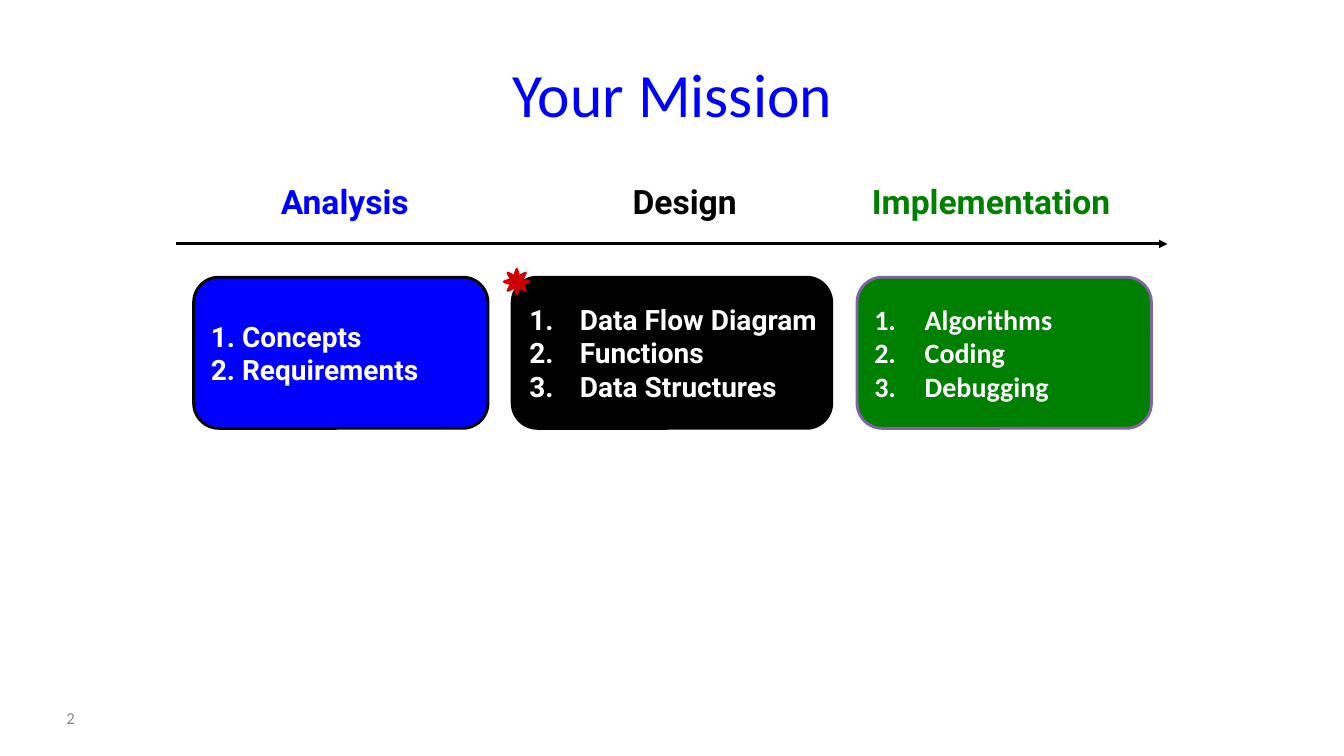
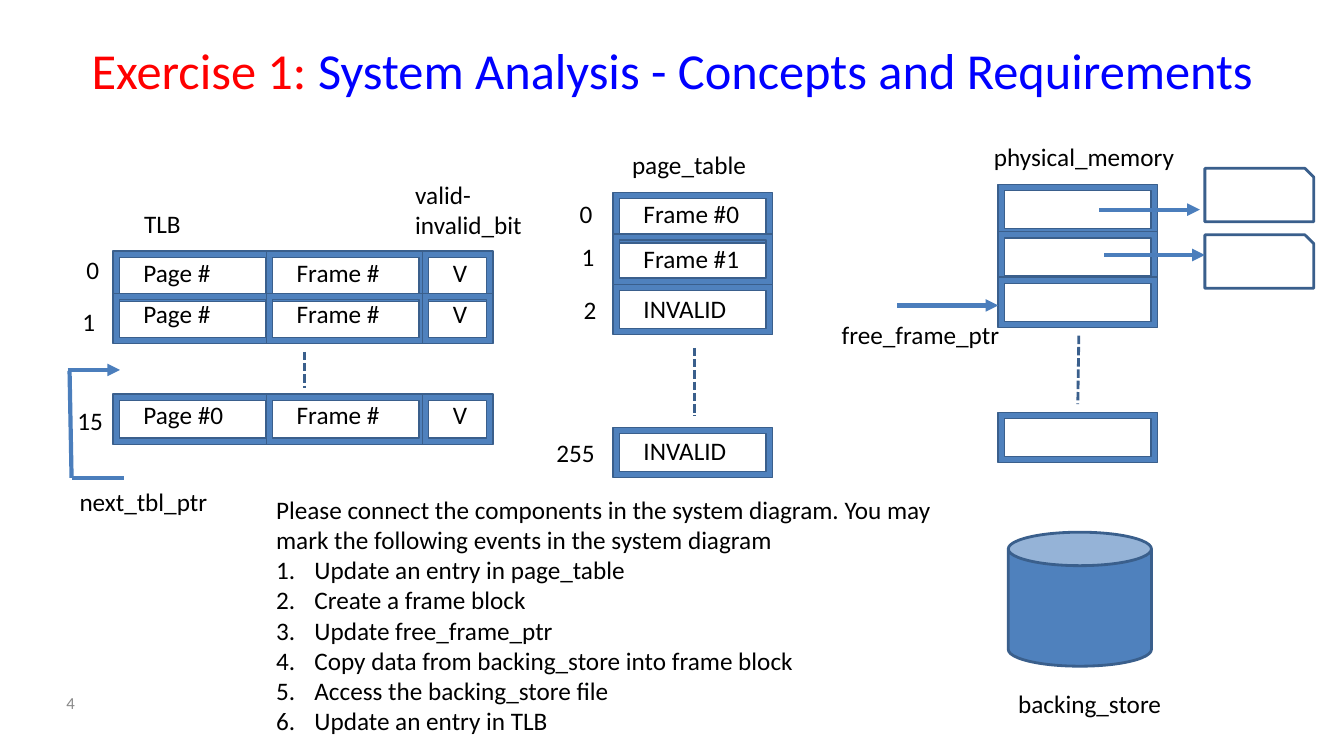
"""Build two slides on a memory system exercise."""
from lxml.etree import SubElement
from pptx import Presentation
from pptx.dml.color import RGBColor
from pptx.enum.dml import MSO_LINE
from pptx.enum.shapes import MSO_CONNECTOR, MSO_SHAPE
from pptx.enum.text import MSO_ANCHOR, PP_ALIGN
from pptx.oxml.ns import qn
from pptx.util import Pt

PX = 9144
BLUE, BLACK, GREEN, RED = "0000FF", "000000", "008000", "FF0000"
WHITE, GREY, STAR = "FFFFFF", "898989", "CC0000"
STEEL, EDGE, ARROW = "4F81BD", "3A5F8C", "4B7EBC"
SANS, HEAD = "Calibri", "Roboto"

PHASES = [
    ("Analysis", BLUE, (192, 300), (192, 292), BLACK, HEAD, 0,
     ["1. Concepts", "2. Requirements"]),
    ("Design", BLACK, (508, 342), (508, 317), BLACK, HEAD, 50,
     ["Data Flow Diagram", "Functions", "Data Structures"]),
    ("Implementation", GREEN, (837, 292), (850, 292), "8064A2", SANS, 50,
     ["Algorithms", "Coding", "Debugging"]),
]

COLS = [(112, 158), (264, 158), (419, 70)]
TLB = [
    (249, 4, ["Page #", "Frame #", "V"]),
    (291, 5, ["Page #", "Frame #", "V"]),
    (391, 5, ["Page #0", "Frame #", "V"]),
]
PAGES = [(191, 4, "Frame #0"), (232, 1, "Frame #1"),
         (282, 1, "INVALID"), (424, 2, "INVALID")]
MEMORY = [183, 230, 275, 409]
BLOCKS = [167, 233]

LABELS = [
    ("TLB", 133, 202, 185), ("valid-invalid_bit", 402, 173, 130),
    ("page_table", 617, 143, 145), ("physical_memory", 976, 135, 209),
    ("free_frame_ptr", 825, 312, 185), ("next_tbl_ptr", 69, 478, 151),
    ("backing_store", 1000, 678, 167),
    ("0", 76, 247, 47), ("1", 72, 299, 47), ("15", 67, 397, 47),
    ("0", 565, 192, 47), ("1", 567, 234, 47), ("2", 569, 287, 47),
    ("255", 542, 429, 66),
]
DASHES = [(302, 349, 302, 385), (689, 345, 689, 413), (1070, 333, 1069, 401)]
ARROWS = [(1090, 208, 1190, 208), (1095, 253, 1195, 253),
          (890, 303, 990, 303), (67, 367, 119, 367)]
STEMS = [(71, 474, 123, 474), (71, 474, 69, 368)]

TASK = ("Please connect the components in the system diagram. "
        "You may mark the following events in the system diagram")
EVENTS = [
    "Update an entry in page_table", "Create a frame block",
    "Update free_frame_ptr", "Copy data from backing_store into frame block",
    "Access the backing_store file", "Update an entry in TLB",
]


def hue(code):
    """Turn a hex string into a colour."""
    return RGBColor.from_string(code)


def write(frame, paras, size=18, color=BLACK, font=SANS, bold=False,
          align=PP_ALIGN.LEFT, mid=False, indent=0, plain=0):
    """Fill a text frame, numbering all but the plain first paragraphs."""
    frame.vertical_anchor = MSO_ANCHOR.MIDDLE if mid else MSO_ANCHOR.TOP
    for n, runs in enumerate(paras):
        para = frame.paragraphs[0] if n == 0 else frame.add_paragraph()
        para.alignment = align
        if indent and n >= plain:
            props = para._p.get_or_add_pPr()
            props.set("marL", str(indent * PX))
            props.set("indent", str(-indent * PX))
            SubElement(props, qn("a:buAutoNum"), type="arabicPeriod")
        for text, tint in [(runs, color)] if isinstance(runs, str) else runs:
            run = para.add_run()
            run.text = text
            run.font.size, run.font.name = Pt(size), font
            run.font.bold, run.font.color.rgb = bold, hue(tint)


def label(slide, paras, x, y, w, h=40, **style):
    """Add a wrapped text box."""
    box = slide.shapes.add_textbox(x * PX, y * PX, w * PX, h * PX)
    box.text_frame.word_wrap = True
    write(box.text_frame, paras, **style)


def shape(slide, kind, x, y, w, h, fill, edge, width):
    """Add a flat preset shape."""
    item = slide.shapes.add_shape(kind, x * PX, y * PX, w * PX, h * PX)
    item.shadow.inherit = False
    if fill:
        item.fill.solid()
        item.fill.fore_color.rgb = hue(fill)
    else:
        item.fill.background()
    item.line.color.rgb, item.line.width = hue(edge), Pt(width)
    return item


def cell(slide, x, y, w, text="", lift=0):
    """Add one framed cell, its text raised by lift."""
    item = shape(slide, MSO_SHAPE.FRAME, x, y, w, 50, STEEL, EDGE, 1)
    if text:
        frame = item.text_frame
        frame.word_wrap = True
        frame.margin_left, frame.margin_right = 24 * PX, 0
        frame.margin_top, frame.margin_bottom = 0, 2 * lift * PX
        write(frame, [text], mid=True)


def line(slide, ends, color, width, head=False, dash=False):
    """Add a straight line, with an arrowhead or dashes if asked."""
    item = slide.shapes.add_connector(MSO_CONNECTOR.STRAIGHT,
                                      *[v * PX for v in ends])
    item.line.color.rgb, item.line.width = hue(color), Pt(width)
    if dash:
        item.line.dash_style = MSO_LINE.SQUARE_DOT
    if head:
        SubElement(item.line._get_or_add_ln(), qn("a:tailEnd"),
                   type="triangle")
    SubElement(item._element.spPr, qn("a:effectLst"))


def start(deck, title, size, top, tall, page, foot):
    """Add a slide with its title and page number."""
    slide = deck.slides.add_slide(deck.slide_layouts[6])
    label(slide, [title], 67, top, 1200, tall, size=size, color=BLUE,
          align=PP_ALIGN.CENTER, mid=True)
    label(slide, [page], 56, foot, 144, size=12, color=GREY, mid=True)
    return slide


def mission(deck):
    """Build the slide of three phases."""
    slide = start(deck, "Your Mission", 44, 30, 125, "2", 692)
    for name, color, top, box, edge, font, indent, items in PHASES:
        label(slide, [name], top[0], 175, top[1], 50, size=24, color=color,
              font=HEAD, bold=True, align=PP_ALIGN.CENTER)
        card = shape(slide, MSO_SHAPE.ROUNDED_RECTANGLE, box[0], 275,
                     box[1], 150, color, edge, 2)
        card.text_frame.word_wrap = False
        write(card.text_frame, items, size=20, color=WHITE, font=font,
              bold=True, mid=True, indent=indent)
    line(slide, (175, 242, 1158, 242), BLACK, 2, head=True)
    shape(slide, MSO_SHAPE.SUN, 500, 267, 25, 25, STAR, STAR, 1.75)


def system(deck):
    """Build the system diagram slide."""
    title = [("Exercise 1: ", RED),
             ("System Analysis - Concepts and Requirements", BLUE)]
    slide = start(deck, title, 36, 24, 90, "4", 677)
    for y, lift, texts in TLB:
        for (x, w), text in zip(COLS, texts):
            cell(slide, x, y, w, text, lift)
    for y, lift, text in PAGES:
        cell(slide, 608, y, 158, text, lift)
    for y in MEMORY:
        cell(slide, 990, y, 158)
    for y in BLOCKS:
        shape(slide, MSO_SHAPE.SNIP_1_RECTANGLE, 1195, y, 108, 53,
              None, EDGE, 2)
    shape(slide, MSO_SHAPE.CAN, 1000, 528, 142, 133, STEEL, EDGE, 2)
    for ends in DASHES:
        line(slide, ends, EDGE, 2, dash=True)
    for ends in ARROWS:
        line(slide, ends, ARROW, 3, head=True)
    for ends in STEMS:
        line(slide, ends, ARROW, 3)
    for text, x, y, w in LABELS:
        label(slide, [text], x, y, w)
    label(slide, [TASK] + EVENTS, 264, 485, 675, 252, indent=38, plain=1)


def main():
    """Build and save the deck."""
    deck = Presentation()
    deck.slide_width, deck.slide_height = 1333 * PX, 750 * PX
    mission(deck)
    system(deck)
    deck.save("out.pptx")


if __name__ == "__main__":
    main()
